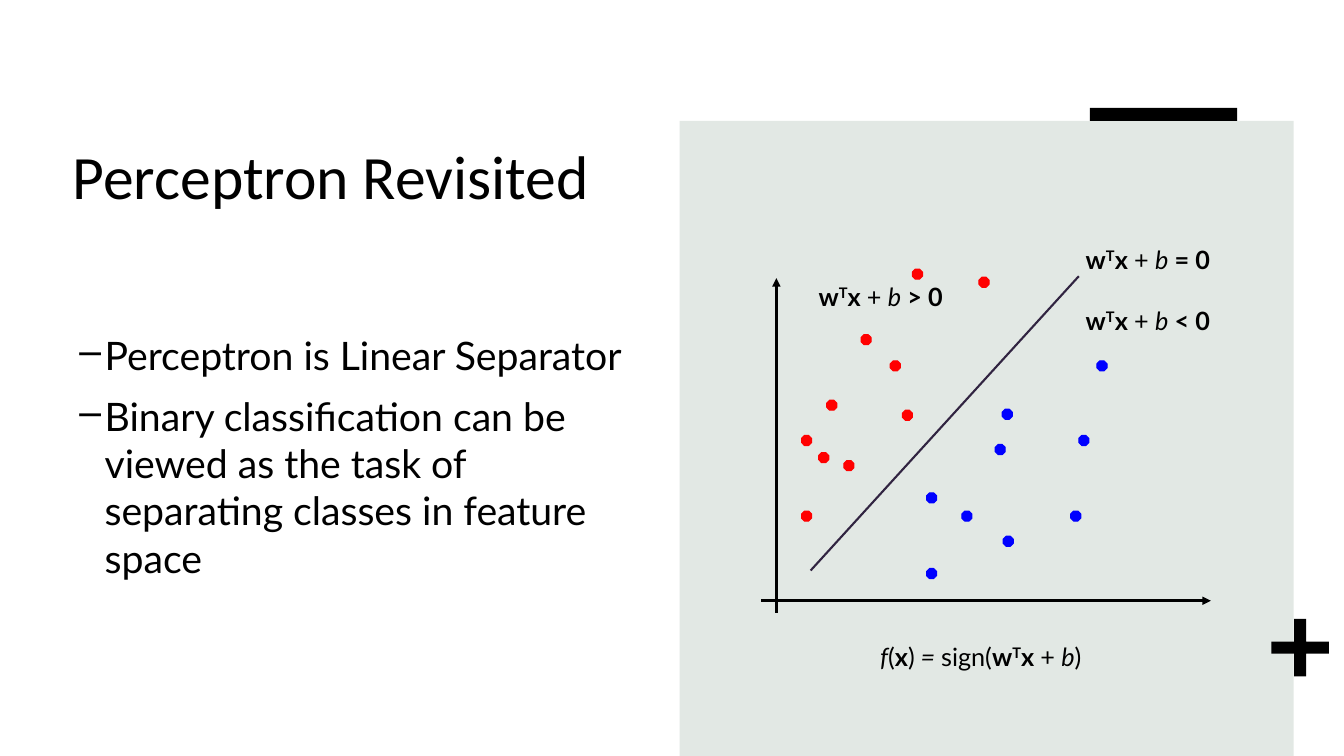
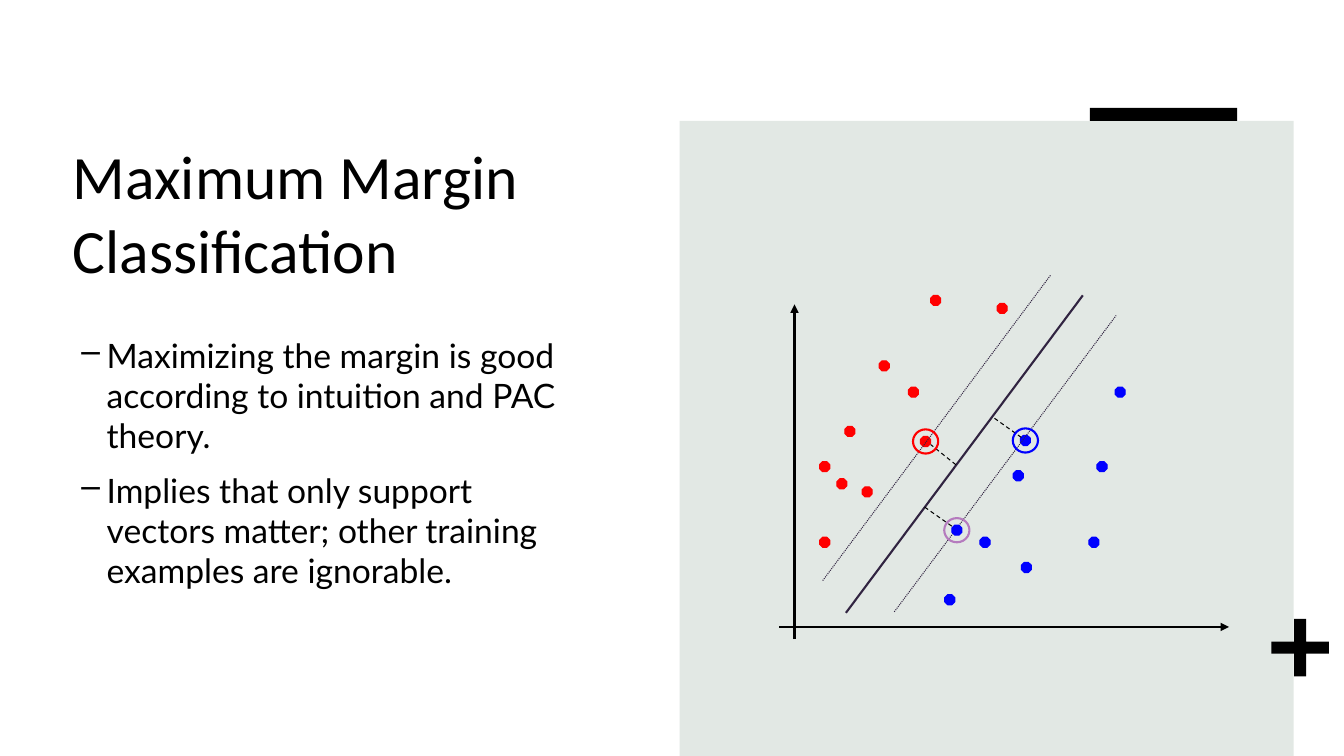
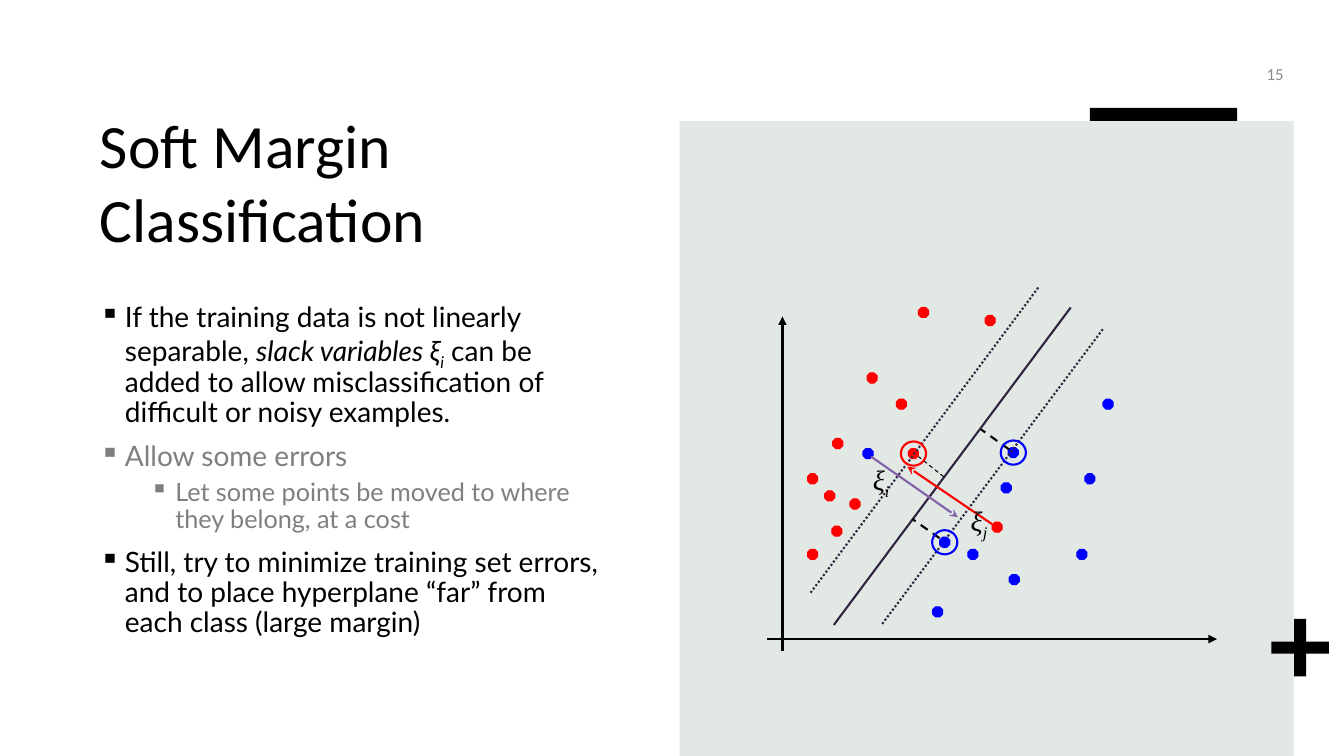
import lxml.etree
import pptx
import pptx.dml.color
import pptx.enum.dml
import pptx.enum.shapes
import pptx.enum.text
import pptx.oxml.ns
import pptx.util

COLUMNS, ROWS = 13.33, 7.5
PANEL = (6.74, 1.2, 6.09, 6.3)
BLACK, GREY, PAGE_GREY, SAGE = "000000", "7F7F7F", "898989", "E2E8E4"
RED, BLUE, PLUM, MAUVE, VIOLET = "FF0000", "0000FF", "312441", "B57BBE", "8161A8"
TITLE_FONT, BODY_FONT, SYMBOL_FONT = "Calibri", "Lato", "Times New Roman"

SHAPES = pptx.enum.shapes.MSO_SHAPE
DASHES = pptx.enum.dml.MSO_LINE
ALIGN = pptx.enum.text.PP_ALIGN
ANCHOR = pptx.enum.text.MSO_ANCHOR

RED_POINTS = [(1.18, 2.33), (0.55, 1.94), (0.72, 1.34), (0.3, 0.84), (0.89, 2.59),
              (0.3, 1.59), (0.47, 1.42), (1.3, 1.84), (1.4, 3.24), (2.06, 3.16)]
BLUE_POINTS = [(2.29, 1.85), (1.89, 0.84), (2.97, 0.84), (1.54, 0.27),
               (2.22, 1.5), (2.3, 0.59), (3.05, 1.59), (3.23, 2.33)]
RED_SUPPORT, UPPER_SUPPORT, LOWER_SUPPORT = (1.3, 1.84), (2.29, 1.85), (1.61, 0.96)
SCORE = [("w", "b"), ("T", "b^"), ("x ", "b"), ("+ ", ""), ("b", "i")]


def units(*lengths):
    """Turn lengths in grid columns and rows into slide units."""
    return [pptx.util.Inches(length) for length in lengths]


def colour(hex_code):
    """Return the colour for a hex string."""
    return pptx.dml.color.RGBColor.from_string(hex_code)


def add_xml(parent, tag, **attributes):
    """Append a drawing element to a parent element."""
    child = lxml.etree.SubElement(parent, pptx.oxml.ns.qn(tag))
    for name, value in attributes.items():
        child.set(name, value)


def add_figure(slide, kind, box, fill=None, outline=None, weight=0.75):
    """Add a preset shape with a plain fill and outline."""
    figure = slide.shapes.add_shape(kind, *units(*box))
    figure.shadow.inherit = False
    if fill:
        figure.fill.solid()
        figure.fill.fore_color.rgb = colour(fill)
    else:
        figure.fill.background()
    if outline:
        figure.line.color.rgb = colour(outline)
        figure.line.width = pptx.util.Pt(weight)
    else:
        figure.line.fill.background()
    return figure


def style_run(run, size, font, hex_code, marks=""):
    """Format a run; marks are b bold, i italic, ^ raised, _ lowered."""
    run.font.size = pptx.util.Pt(size)
    run.font.name = font
    run.font.color.rgb = colour(hex_code)
    run.font.bold = "b" in marks
    run.font.italic = "i" in marks
    for mark, baseline in (("^", "30000"), ("_", "-25000")):
        if mark in marks:
            run.font._element.set("baseline", baseline)


def write_pieces(paragraph, pieces, size, font=BODY_FONT, hex_code=BLACK):
    """Write (text, marks) pieces as runs of one paragraph."""
    for text, marks in pieces:
        run = paragraph.add_run()
        run.text = text
        style_run(run, size, font, hex_code, marks)


def add_text(slide, box):
    """Add a wrapping text box and return its frame."""
    frame = slide.shapes.add_textbox(*units(*box)).text_frame
    frame.word_wrap = True
    return frame


def decorate_layout(slide):
    """Draw the panel, plus and bar, and hand them to the layout."""
    left, top, width, height = PANEL
    panel = add_figure(slide, SHAPES.RECTANGLE, PANEL, SAGE)
    plus = add_figure(slide, SHAPES.CROSS, (left + 5.87, top + 4.94, 0.57, 0.57), BLACK)
    plus.adjustments[0] = 0.395
    bar = add_figure(slide, SHAPES.RECTANGLE, (left + 4.07, top - 0.13, 1.46, 0.13), BLACK)
    for number, part in enumerate((panel, plus, bar), 20):
        part.element.xpath("./p:nvSpPr/p:cNvPr")[0].set("id", str(number))
        slide.slide_layout.shapes.element.append(part.element)


def add_titled_slide(deck, title_text, left, top):
    """Add a title-only slide with its title at the given corner."""
    slide = deck.slides.add_slide(deck.slide_layouts[5])
    title = slide.shapes.title
    title.left, title.top, title.width, title.height = units(left, top, 9.04, 1.58)
    frame = title.text_frame
    frame.text = title_text
    frame.word_wrap = True
    frame.auto_size = pptx.enum.text.MSO_AUTO_SIZE.NONE
    frame.vertical_anchor = ANCHOR.TOP
    frame.paragraphs[0].alignment = ALIGN.LEFT
    for run in frame.paragraphs[0].runs:
        style_run(run, 44, TITLE_FONT, BLACK)
    return slide


def add_bullets(slide, box, bullet, items, spacing=1.0):
    """Fill a box with (pieces, size, colour, level) bullet items."""
    frame = add_text(slide, box)
    for number, (pieces, size, hex_code, level) in enumerate(items):
        paragraph = frame.add_paragraph() if number else frame.paragraphs[0]
        paragraph.level = level
        paragraph.line_spacing = spacing
        paragraph.space_before = pptx.util.Pt(5 if level else 10)
        write_pieces(paragraph, pieces, size, hex_code=hex_code)
        properties = paragraph._p.get_or_add_pPr()
        indent, hanging = units(0.25 + 0.5 * level, -0.25)
        properties.set("marL", str(indent))
        properties.set("indent", str(hanging))
        add_xml(properties, "a:buChar", char=bullet)


class Plot:
    """A feature space measured right and up from its origin in the panel."""

    def __init__(self, slide, across, down):
        """Place the origin in the panel and draw axes and points."""
        self.slide = slide
        self.left, self.base = PANEL[0] + across, PANEL[1] + down
        self.line((0, -0.12), (0, 3.2), BLACK, 2, head="triangle")
        self.line((-0.15, 0), (4.31, 0), BLACK, 2, head="triangle")
        self.points(RED_POINTS, RED)
        self.points(BLUE_POINTS, BLUE)

    def at(self, point):
        """Return the slide position of a plot point."""
        return round(self.left + point[0], 2), round(self.base - point[1], 2)

    def around(self, centre, width, height):
        """Return the box of a given size centred on a plot point."""
        x, y = self.at(centre)
        return x - width / 2, y - height / 2, width, height

    def points(self, centres, hex_code):
        """Draw data points of one class."""
        for centre in centres:
            add_figure(self.slide, SHAPES.OCTAGON, self.around(centre, 0.1, 0.1),
                       hex_code, hex_code)

    def ring(self, centre, hex_code):
        """Circle a support vector."""
        add_figure(self.slide, SHAPES.OVAL, self.around(centre, 0.25, 0.24),
                   outline=hex_code, weight=1.5)

    def line(self, start, end, hex_code, weight, dash=None, head=None):
        """Draw a line, dashed or with an arrowhead if asked."""
        connector = self.slide.shapes.add_connector(
            pptx.enum.shapes.MSO_CONNECTOR.STRAIGHT, *units(*self.at(start), *self.at(end)))
        connector.line.color.rgb = colour(hex_code)
        connector.line.width = pptx.util.Pt(weight)
        if dash:
            connector.line.dash_style = dash
        if head:
            add_xml(connector.line._get_or_add_ln(), "a:tailEnd", type=head)
        add_xml(connector.element.spPr, "a:effectLst")

    def label(self, corner, pieces, width, size=18, font=BODY_FONT):
        """Write a formula with its top left corner at a plot point."""
        frame = add_text(self.slide, (*self.at(corner), width, 0.4))
        write_pieces(frame.paragraphs[0], pieces, size, font)

    def margin(self, lower_ring, dotted_weight, blue_weight):
        """Draw the separator, its margins and the support vectors."""
        self.line((0.51, 0.14), (2.86, 3.29), PLUM, 1.5)
        for start, end in (((0.99, 0.15), (3.19, 3.09)), ((0.28, 0.46), (2.54, 3.49))):
            self.line(start, end, PLUM, dotted_weight, DASHES.ROUND_DOT)
        for start, end, weight in (((2.25, 1.88), (1.97, 2.08), blue_weight),
                                   ((1.56, 1.0), (1.29, 1.19), blue_weight),
                                   ((1.6, 1.61), (1.35, 1.81), 0.75)):
            self.line(start, end, BLACK, weight, DASHES.DASH)
        self.points([LOWER_SUPPORT], BLUE)
        for centre, hex_code in ((RED_SUPPORT, RED), (LOWER_SUPPORT, lower_ring),
                                 (UPPER_SUPPORT, BLUE)):
            self.ring(centre, hex_code)


def build_perceptron(deck):
    """Build the slide on the linear separator."""
    slide = add_titled_slide(deck, "Perceptron Revisited", 0.62, 1.32)
    decorate_layout(slide)
    add_bullets(slide, (0.69, 3.24, 5.7, 2.59), "–", [
        ([(text, "")], 28, BLACK, 0) for text in (
            "Perceptron is Linear Separator",
            "Binary classification can be viewed as the task of separating classes"
            " in feature space")])
    plot = Plot(slide, 0.96, 4.76)
    plot.points([(1.54, 1.02)], BLUE)
    plot.line((0.34, 0.3), (3, 3.22), PLUM, 1.5)
    for corner, relation in (((2.97, 3.59), " = 0"), ((2.97, 2.98), " < 0"),
                             ((0.32, 3.22), " > 0")):
        plot.label(corner, SCORE + [(relation, "b")], 2.92)
    plot.label((0.93, -0.35), [("f", "i"), ("(", ""), ("x", "b"), (")", ""), (" = ", "i"),
                               ("sign(", "")] + SCORE + [(")", "")], 3.21)


def build_maximum_margin(deck):
    """Build the slide on the maximum margin."""
    slide = add_titled_slide(deck, "Maximum Margin \vClassification", 0.62, 1.32)
    add_bullets(slide, (0.71, 3.27, 5.11, 3), "–", [
        ([(text, "")], 24, BLACK, 0) for text in (
            "Maximizing the margin is good according to intuition and PAC theory.",
            "Implies that only support vectors matter; other training examples are"
            " ignorable.")])
    Plot(slide, 1.14, 5.02).margin(MAUVE, 0.75, 0.75)


def build_soft_margin(deck):
    """Build the slide on slack variables."""
    slide = add_titled_slide(deck, "Soft Margin \vClassification", 0.89, 1.01)
    page = add_text(slide, (11.83, 0.56, 1, 0.34))
    page.vertical_anchor = ANCHOR.MIDDLE
    page.paragraphs[0].alignment = ALIGN.RIGHT
    write_pieces(page.paragraphs[0], [("15", "")], 12, TITLE_FONT, PAGE_GREY)
    add_bullets(slide, (0.89, 2.96, 5.18, 4.25), "▪", [
        ([("If the training data is not linearly separable, ", ""),
          ("slack variables ξ", "i"), ("i", "i_"),
          (" can be added to allow misclassification of difficult or noisy examples.", "")],
         20, BLACK, 0),
        ([("Allow some errors", "")], 20, GREY, 0),
        ([("Let some points be moved to where they belong, at a cost", "")], 18, GREY, 1),
        ([("Still, try to minimize training set errors, and to place hyperplane “far”"
           " from each class (large margin)", "")], 20, BLACK, 0)], 0.9)
    plot = Plot(slide, 1.02, 5.14)
    plot.points([(0.85, 1.84)], BLUE)
    plot.points([(0.54, 1.07), (2.13, 1.11)], RED)
    plot.margin(BLUE, 1.5, 1.5)
    plot.line((2.08, 1.14), (1.24, 1.71), RED, 1.5, head="stealth")
    plot.line((0.88, 1.81), (1.74, 1.21), VIOLET, 1.5, head="stealth")
    for corner, index in (((1.77, 1.39), "j"), ((0.8, 1.8), "i")):
        plot.label(corner, [("ξ", "i"), (index, "i_")], 0.77, 20, SYMBOL_FONT)


def main():
    """Build and save the deck."""
    deck = pptx.Presentation()
    deck.slide_width, deck.slide_height = units(COLUMNS, ROWS)
    build_perceptron(deck)
    build_maximum_margin(deck)
    build_soft_margin(deck)
    deck.save("out.pptx")


if __name__ == "__main__":
    main()
